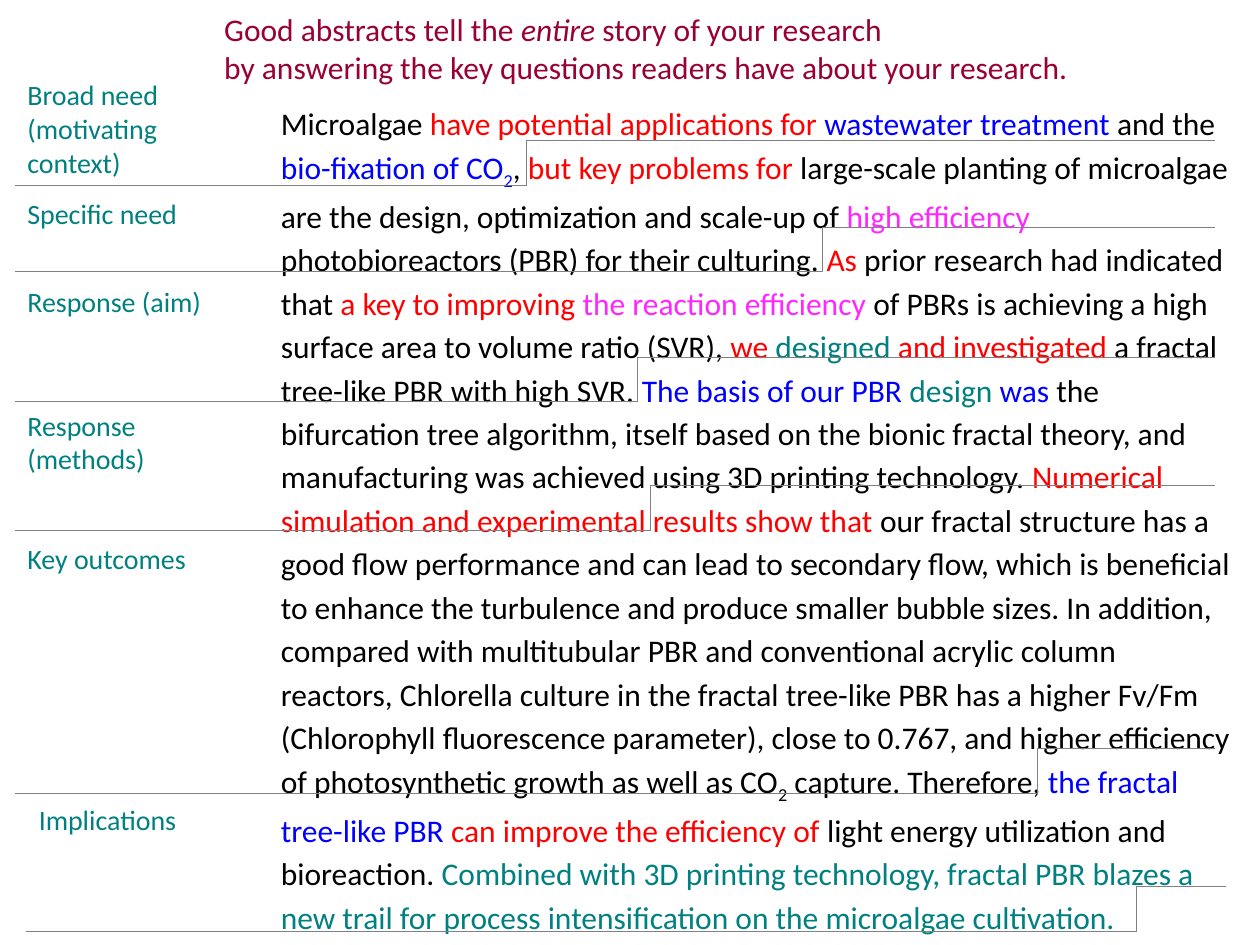
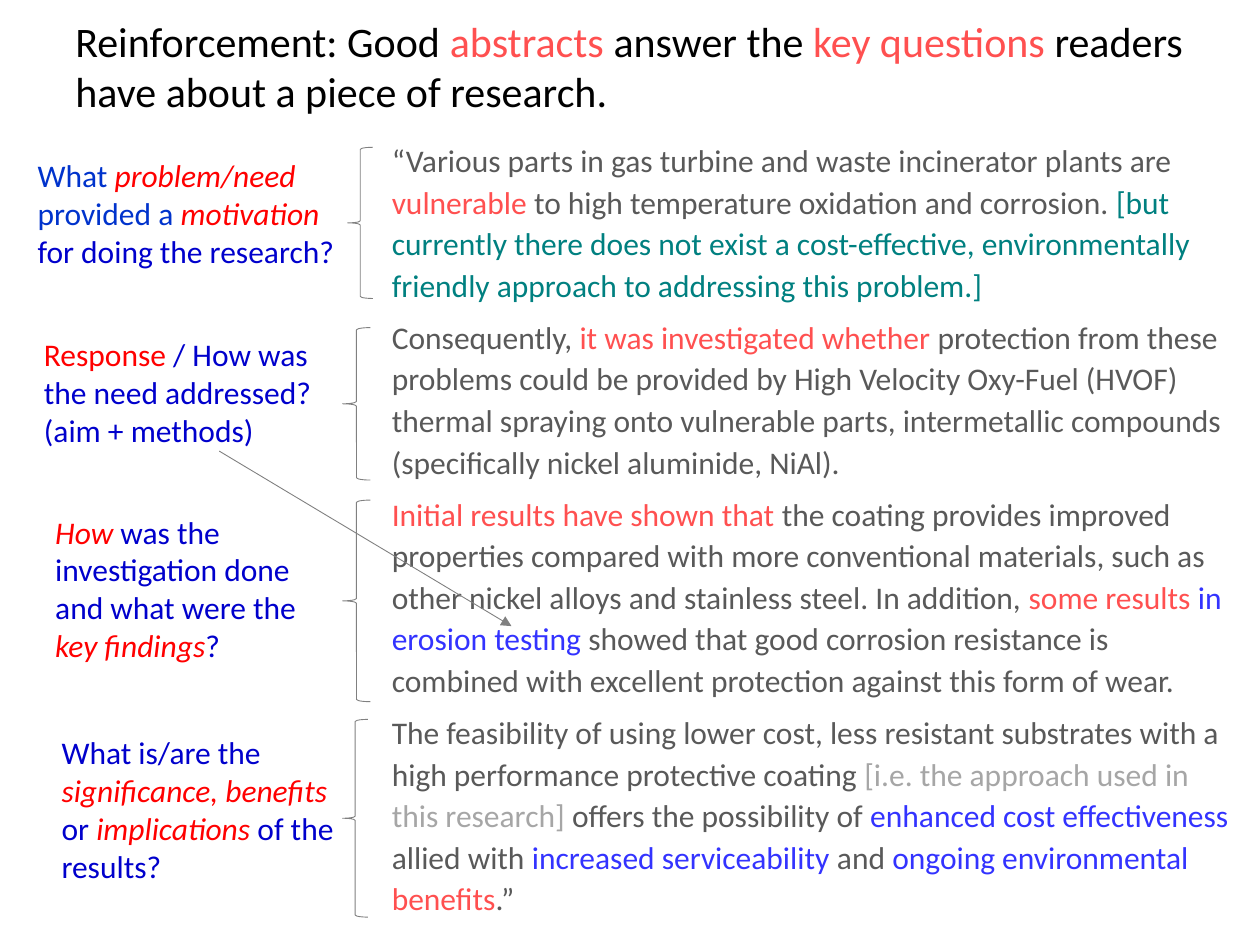
from lxml.etree import SubElement
from pptx import Presentation
from pptx.dml.color import RGBColor
from pptx.enum.shapes import MSO_CONNECTOR, MSO_SHAPE
from pptx.enum.text import MSO_ANCHOR
from pptx.oxml.ns import qn
from pptx.util import Pt

COLORS = {
    "black": "000000", "red": "FF0000", "blue": "0000FF", "magenta": "FF26FF",
    "teal": "008080", "wine": "990033", "coral": "FF5050", "body": "595959",
    "pale": "A6A6A6", "violet": "3333FF", "royal": "0033CC", "navy": "0000CC",
    "line": "808080",
}

FONTS = {
    "title": {"name": "Calibri", "size": Pt(24)},
    "text": {"name": "Calibri", "size": Pt(18)},
    "label": {"name": "Calibri", "size": Pt(16)},
}

MARKS = {"italic": {"italic": True}, "sub": {}}

HEADLINE = [
    [("wine", "Good abstracts tell the "), ("wine", "entire", "italic"),
     ("wine", " story of your research")],
    [("wine", "by answering the key questions readers have about your research.")],
]

MICROALGAE = [[
    ("black", "Microalgae "),
    ("red", "have potential applications for "),
    ("blue", "wastewater treatment "),
    ("black", "and the "),
    ("blue", "bio-fixation of CO"),
    ("blue", "2", "sub"),
    ("black", ", "),
    ("red", "but key problems for "),
    ("black", "large-scale planting of microalgae are the design, optimization "
              "and scale-up of "),
    ("magenta", "high efficiency "),
    ("black", "photobioreactors (PBR) for their culturing. "),
    ("red", "As"),
    ("black", " prior research had indicated that "),
    ("red", "a key to improving "),
    ("magenta", "the reaction efficiency "),
    ("black", "of PBRs is achieving a high surface area to volume ratio (SVR), "),
    ("red", "we "),
    ("teal", "designed"),
    ("red", " and investigated "),
    ("black", "a fractal tree-like PBR with high SVR. "),
    ("blue", "The basis of our PBR "),
    ("teal", "design"),
    ("blue", " was "),
    ("black", "the bifurcation tree algorithm, itself based on the bionic fractal "
              "theory, and manufacturing was achieved using 3D printing technology. "),
    ("red", "Numerical simulation and experimental results show that"),
    ("black", " our fractal structure has a good flow performance and can lead to "
              "secondary flow, which is beneficial to enhance the turbulence and "
              "produce smaller bubble sizes. In addition, compared with multitubular "
              "PBR and conventional acrylic column reactors, Chlorella culture in the "
              "fractal tree-like PBR has a higher Fv/Fm (Chlorophyll fluorescence "
              "parameter), close to 0.767, and higher efficiency of photosynthetic "
              "growth as well as CO"),
    ("black", "2", "sub"),
    ("black", " capture. Therefore, "),
    ("blue", "the fractal tree-like PBR "),
    ("red", "can improve the efficiency of "),
    ("black", "light energy utilization and bioreaction. "),
    ("teal", "Combined with 3D printing technology, fractal PBR blazes a new trail "
             "for process intensification on the microalgae cultivation."),
]]

# label, left, label top, label height, step base, step bend
STAGES = [
    ("Broad need (motivating context)", 8.6, 41, 65.5, 105.8, 301),
    ("Specific need", 8.6, 108.7, 26.6, 155.3, 470),
    ("Response (aim)", 8.6, 159.1, 26.6, 229.7, 364.3),
    ("Response (methods)", 8.6, 229.7, 46, 303, 372.2),
    ("Key outcomes", 8.6, 306, 26.6, 453.4, 592.6),
    ("Implications", 15.1, 455, 26.6, 532.2, 649.4),
]
STEP_WIDTH, STEP_RISE = 685.6, 25.4

REINFORCEMENT = [[
    ("black", "Reinforcement: Good "),
    ("coral", "abstracts"),
    ("black", " answer the "),
    ("coral", "key questions "),
    ("black", "readers have about a piece of research."),
]]

COATING = [
    [("body", "“Various parts in gas turbine and waste incinerator plants are "),
     ("coral", "vulnerable"),
     ("body", " to high temperature oxidation and corrosion. "),
     ("teal", "[but currently there does not exist a cost-effective, environmentally "
              "friendly approach to addressing this problem.]")],
    [("body", "Consequently, "),
     ("coral", "it was investigated whether "),
     ("body", "protection from these problems could be provided by High Velocity "
              "Oxy-Fuel (HVOF) thermal spraying onto vulnerable parts, intermetallic "
              "compounds (specifically nickel aluminide, NiAl).")],
    [("coral", "Initial results have shown that "),
     ("body", "the coating provides improved properties compared with more "
              "conventional materials, such as other nickel alloys and stainless "
              "steel. In addition, "),
     ("coral", "some results "),
     ("violet", "in erosion testing "),
     ("body", "showed that good corrosion resistance is combined with excellent "
              "protection against this form of wear.")],
    [("body", "The feasibility of using lower cost, less resistant substrates with a "
              "high performance protective coating "),
     ("pale", "[i.e. the approach used in this research] "),
     ("body", "offers the possibility of "),
     ("violet", "enhanced cost effectiveness "),
     ("body", "allied with "),
     ("violet", "increased serviceability "),
     ("body", "and "),
     ("violet", "ongoing environmental "),
     ("coral", "benefits"),
     ("body", ".”")],
]

# question box, brace box, runs
QUESTIONS = [
    ((14.4, 85.7, 190.8, 72.7), (198.7, 84.2, 14.4, 86.4),
     [("royal", "What "), ("red", "problem/need ", "italic"),
      ("royal", "provided a "), ("red", "motivation ", "italic"),
      ("navy", "for doing the research?")]),
    ((18, 187.9, 190, 72.7), (195.8, 187.2, 15.8, 87.1),
     [("red", "Response"),
      ("navy", " / How was the need addressed? (aim + methods)")]),
    ((24.5, 289.4, 156.2, 94.3), (195.8, 285.8, 15.8, 115.2),
     [("red", "How", "italic"),
      ("navy", " was the investigation done and what were the "),
      ("red", "key findings", "italic"), ("navy", "?")]),
    ((28.1, 415.4, 170, 94.3), (195.8, 411.1, 14.4, 113),
     [("navy", "What is/are the "), ("red", "significance, benefits", "italic"),
      ("navy", " or "), ("red", "implications", "italic"),
      ("navy", " of the results?")]),
]


def rgb(color):
    """Return the named colour."""
    return RGBColor.from_string(COLORS[color])


def set_all(target, values):
    """Set every attribute in values on target."""
    for name, value in values.items():
        setattr(target, name, value)


def add_run(p, font, color, text, mark=None):
    """Append a coloured run, optionally italic or subscript."""
    r = p.add_run()
    r.text = text
    set_all(r.font, {**FONTS[font], **MARKS.get(mark, {})})
    r.font.color.rgb = rgb(color)
    if mark == "sub":
        r.font._element.set("baseline", "-25000")


def add_text(s, box, paragraphs, font="text", frame=None, para=None):
    """Add a wrapped text box made of paragraphs of coloured runs."""
    tf = s.shapes.add_textbox(*map(Pt, box)).text_frame
    set_all(tf, {"word_wrap": True, **(frame or {})})
    for i, runs in enumerate(paragraphs):
        p = tf.add_paragraph() if i else tf.paragraphs[0]
        set_all(p, para or {})
        for run in runs:
            add_run(p, font, *run)


def style_line(sp):
    """Give a shape or connector the thin grey line."""
    sp.line.color.rgb = rgb("line")
    sp.line.width = Pt(0.5)


def add_line(s, kind, ends, bend=None, arrow=False):
    """Add a grey connector with an optional bend ratio or arrowhead."""
    c = s.shapes.add_connector(kind, *map(Pt, ends))
    style_line(c)
    sp_pr = c._element.spPr
    if bend is not None:
        guides = sp_pr.find(qn("a:prstGeom")).find(qn("a:avLst"))
        SubElement(guides, qn("a:gd"), name="adj1", fmla=f"val {round(bend * 100000)}")
    if arrow:
        SubElement(sp_pr.find(qn("a:ln")), qn("a:tailEnd"), type="triangle")
    SubElement(sp_pr, qn("a:effectLst"))


def add_brace(s, box):
    """Add an unfilled left brace."""
    sp = s.shapes.add_shape(MSO_SHAPE.LEFT_BRACE, *map(Pt, box))
    sp.shadow.inherit = False
    sp.fill.background()
    style_line(sp)


def add_stage(s, label, left, top, height, base, bend):
    """Add a stage label and the stepped line that closes its part of the text."""
    add_line(s, MSO_CONNECTOR.ELBOW,
             (left, base, left + STEP_WIDTH, base - STEP_RISE),
             bend=(bend - left) / STEP_WIDTH)
    add_text(s, (left, top, 139, height), [[("teal", label)]], "label")


def build_story(s):
    """Build the annotated abstract slide."""
    add_text(s, (153.4, 52.6, 557.3, 482.4), MICROALGAE, para={"line_spacing": 1.15})
    for stage in STAGES:
        add_stage(s, *stage)
    add_text(s, (121, 2.2, 589.7, 51), HEADLINE)


def build_reinforcement(s):
    """Build the key questions slide."""
    add_text(s, (36, 3.6, 648, 67.7), REINFORCEMENT, "title",
             {"vertical_anchor": MSO_ANCHOR.MIDDLE, "margin_right": Pt(3.6)})
    add_text(s, (219.6, 71.3, 489.6, 465.8), COATING,
             frame={"margin_left": Pt(4.3), "margin_top": Pt(7.2)},
             para={"line_spacing": 1.1, "space_after": Pt(6)})
    for box, brace, runs in QUESTIONS:
        add_text(s, box, [runs])
        add_brace(s, brace)
    add_line(s, MSO_CONNECTOR.STRAIGHT, (125.3, 257.8, 292.3, 357.8), arrow=True)


def main():
    """Build both slides and save the presentation."""
    prs = Presentation()
    set_all(prs, {"slide_width": Pt(720), "slide_height": Pt(540)})
    for build in (build_story, build_reinforcement):
        build(prs.slides.add_slide(prs.slide_layouts[6]))
    prs.save("out.pptx")


if __name__ == "__main__":
    main()
